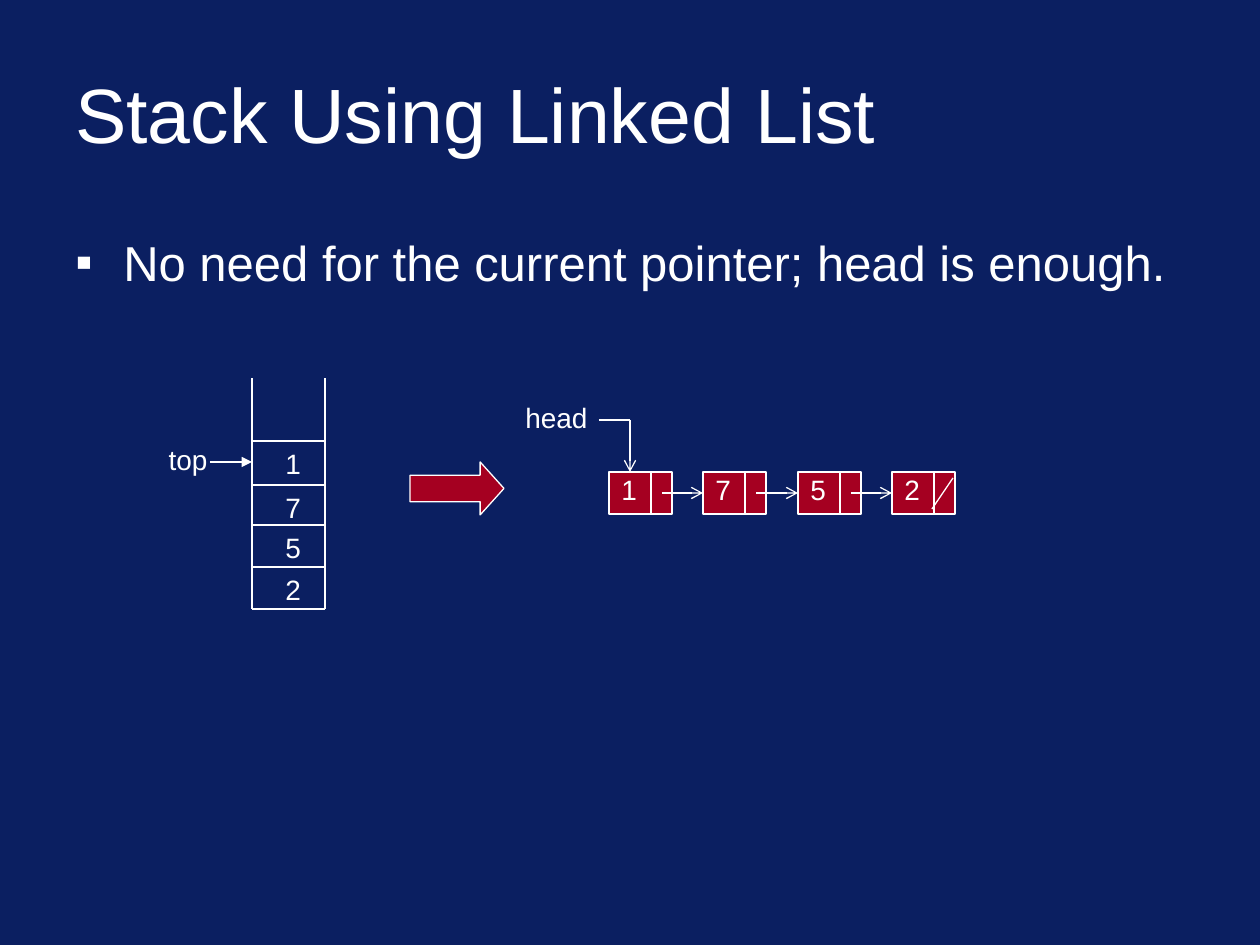
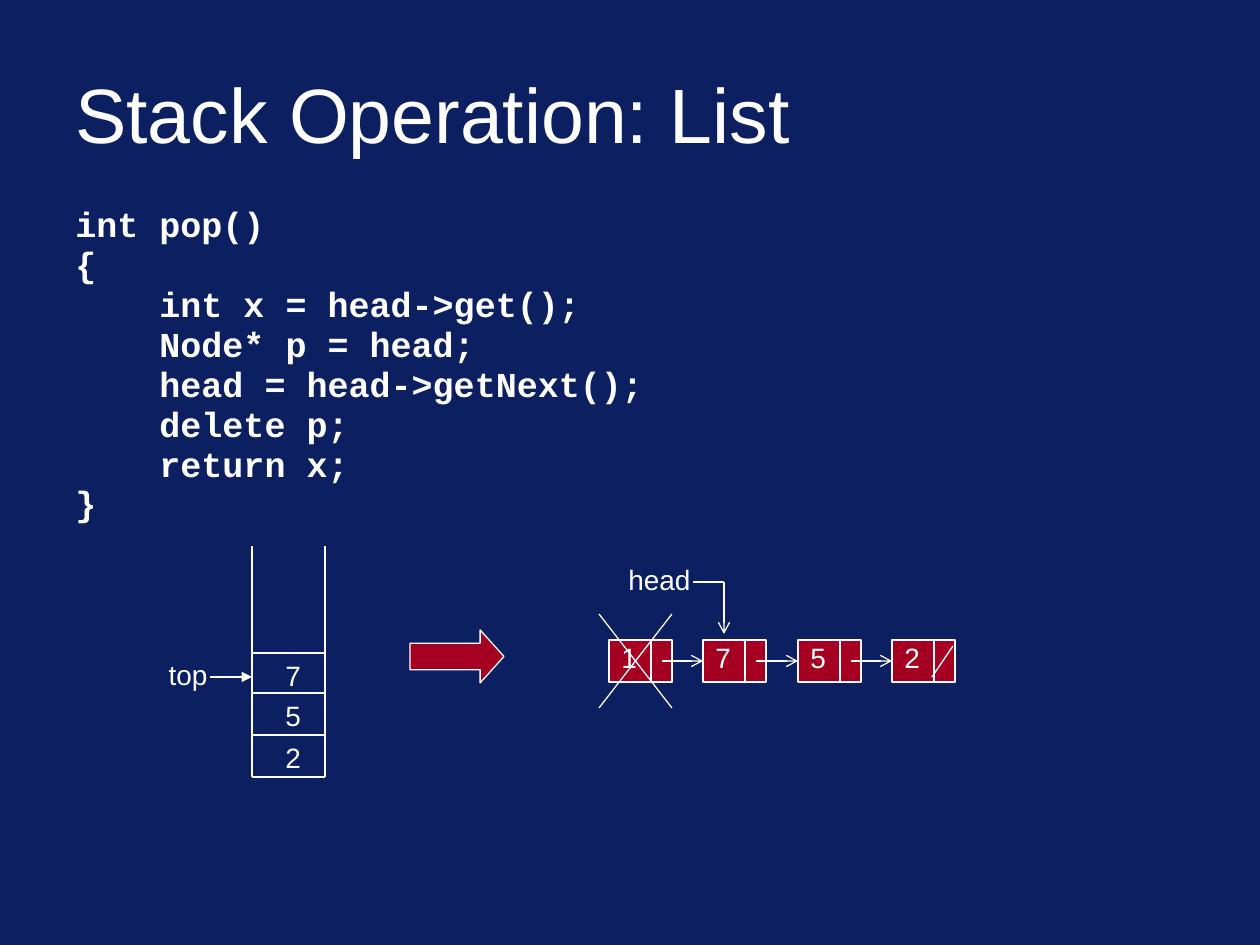
import pptx
import pptx.dml.color
import pptx.enum.shapes
import pptx.enum.text
import pptx.oxml
import pptx.oxml.ns
import pptx.util

SCALE = 914400 / 126  # EMU in one px
COLORS = {"background": "0B1F61", "ink": "FFFFFF", "node": "A50021"}
SHAPES = pptx.enum.shapes.MSO_SHAPE
ALIGN = pptx.enum.text.PP_ALIGN
ANCHOR = pptx.enum.text.MSO_ANCHOR
QN = pptx.oxml.ns.qn

STACK_ROW_TOPS = {"1": 63, "7": 107, "5": 147, "2": 189}
STACK_HEIGHT = 231
LIST_VALUES = ["1", "7", "5", "2"]
POP_CODE = """int pop()
{
    int x = head->get();
    Node* p = head;
    head = head->getNext();
    delete p;
    return x;
}"""


def px(length):
    return pptx.util.Emu(round(length * SCALE))


def color(name):
    return pptx.dml.color.RGBColor.from_string(COLORS[name])


# Basic parts
def add_text(page, lines, left, top, width, height, size, font="Arial", bold=False,
             align=ALIGN.LEFT, anchor=ANCHOR.TOP, wrap=True, inset_top=6,
             line_spacing=None, space_before=0):
    box = page.shapes.add_textbox(px(left), px(top), px(width), px(height))
    frame = box.text_frame
    frame.word_wrap = wrap
    frame.vertical_anchor = anchor
    frame.margin_top = px(inset_top)
    for index, line in enumerate(lines):
        para = frame.add_paragraph() if index else frame.paragraphs[0]
        para.alignment = align
        if line_spacing:
            para.line_spacing = line_spacing
        if index and space_before:
            para.space_before = pptx.util.Pt(space_before)
        span = para.add_run()
        span.text = line
        span.font.name = font
        span.font.size = pptx.util.Pt(size)
        span.font.bold = bold
        span.font.color.rgb = color("ink")
    return box


def add_label(page, text, left, top, width):
    add_text(page, [text], left, top, width, 46, 16, align=ALIGN.CENTER, wrap=False)


def add_line(page, x1, y1, x2, y2, head=None):
    line = page.shapes.add_connector(
        pptx.enum.shapes.MSO_CONNECTOR.STRAIGHT, px(x1), px(y1), px(x2), px(y2))
    line.line.color.rgb = color("ink")
    line.line.width = pptx.util.Pt(0.75)
    if head:
        outline = line.line._get_or_add_ln()
        pptx.oxml.xmlchemy.OxmlElement  # noqa: B018
        outline.append(pptx.oxml.xmlchemy.OxmlElement("a:tailEnd"))
        outline.find(QN("a:tailEnd")).set("type", head)
    line._element.spPr.append(pptx.oxml.xmlchemy.OxmlElement("a:effectLst"))
    return line


def add_block(page, kind, left, top, width, height):
    block = page.shapes.add_shape(kind, px(left), px(top), px(width), px(height))
    block.shadow.inherit = False
    block.fill.solid()
    block.fill.fore_color.rgb = color("node")
    block.line.color.rgb = color("ink")
    block.line.width = pptx.util.Pt(0.75)
    return block


# Page frame
def add_page(deck, title):
    page = deck.slides.add_slide(deck.slide_layouts[6])
    add_text(page, [title], 63, 50, 1134, 126, 44, anchor=ANCHOR.MIDDLE)
    return page


def add_bullet(page, text, left, top):
    box = add_text(page, [text], left, top, 1134, 84, 28, inset_top=12)
    properties = box.text_frame.paragraphs[0]._p.get_or_add_pPr()
    properties.set("marL", str(px(48)))
    properties.set("indent", str(-px(48)))
    for tag, key, value in (("a:buFont", "typeface", "Arial"), ("a:buChar", "char", "▪")):
        mark = pptx.oxml.xmlchemy.OxmlElement(tag)
        mark.set(key, value)
        properties.append(mark)


# Stack with its top pointer
def add_stack(page, left, top, values, pointer_y):
    width = 73
    right, bottom = left + width, top + STACK_HEIGHT
    for side in (left, right):
        add_line(page, side, top, side, bottom)
    add_line(page, left, bottom, right, bottom)
    for value in values:
        row_top = top + STACK_ROW_TOPS[value]
        add_line(page, left, row_top, right, row_top)
        add_label(page, value, left + 21, row_top, 40)
    add_label(page, "top", left - 96, top + pointer_y - 25, 64)
    add_line(page, left - 42, top + pointer_y, left, top + pointer_y, "triangle")


# Linked list
def node_left(left, index):
    return left + index * 189 // 2


def add_node(page, value, left, top):
    node = add_block(page, SHAPES.RECTANGLE, left, top, 63, 42)
    add_line(page, left + 42, top, left + 42, top + 42)
    add_text(page, [value], left, top - 5, 34, 46, 16)
    return node


def add_list(page, left, top):
    nodes = [add_node(page, value, node_left(left, index), top)
             for index, value in enumerate(LIST_VALUES)]
    for index, target in enumerate(nodes[1:]):
        link = add_line(page, node_left(left, index) + 53, top + 21,
                        node_left(left, index + 1), top + 21, "arrow")
        link.end_connect(target, 1)
    # Null link in the last node
    last = node_left(left, len(nodes) - 1)
    add_line(page, last + 61, top + 6, last + 40, top + 37)


def add_head(page, elbow, y, label_reach):
    add_label(page, "head", elbow - label_reach, y - 25, 87)
    add_line(page, elbow - 31, y, elbow, y)
    add_line(page, elbow, y, elbow, y + 52, "arrow")


def add_cross(page, left, top):
    right, bottom = left + 73, top + 94
    add_line(page, right, top, left, bottom)
    add_line(page, left, top, right, bottom)


# Stack, block arrow and list side by side
def add_diagram(page, top, values, pointer_y, head_index, head_y, label_reach):
    list_left, list_top = 609, top + 94
    add_stack(page, 252, top, values, pointer_y)
    arrow = add_block(page, SHAPES.RIGHT_ARROW, 410, top + 84, 94, 53)
    arrow.adjustments[0], arrow.adjustments[1] = 0.5, 0.45
    add_list(page, list_left, list_top)
    add_head(page, node_left(list_left, head_index) + 21, top + head_y, label_reach)
    if head_index:
        add_cross(page, list_left - 10, list_top - 26)


def build_linked_list_page(deck):
    page = add_page(deck, "Stack Using Linked List")
    add_bullet(page, "No need for the current pointer; head is enough.", 63, 220)
    add_diagram(page, 378, LIST_VALUES, pointer_y=84, head_index=0, head_y=42,
                label_reach=117)


def build_pop_page(deck):
    page = add_page(deck, "Stack Operation: List")
    add_text(page, POP_CODE.split("\n"), 63, 199, 1134, 325, 20, "Courier New", True,
             inset_top=15, line_spacing=0.7, space_before=6)
    add_diagram(page, 546, LIST_VALUES[1:], pointer_y=131, head_index=1, head_y=36,
                label_reach=108)


def main():
    deck = pptx.Presentation()
    deck.slide_width, deck.slide_height = px(1260), px(945)
    background = deck.slide_master.background.fill
    background.solid()
    background.fore_color.rgb = color("background")
    build_linked_list_page(deck)
    build_pop_page(deck)
    deck.save("out.pptx")


if __name__ == "__main__":
    main()
